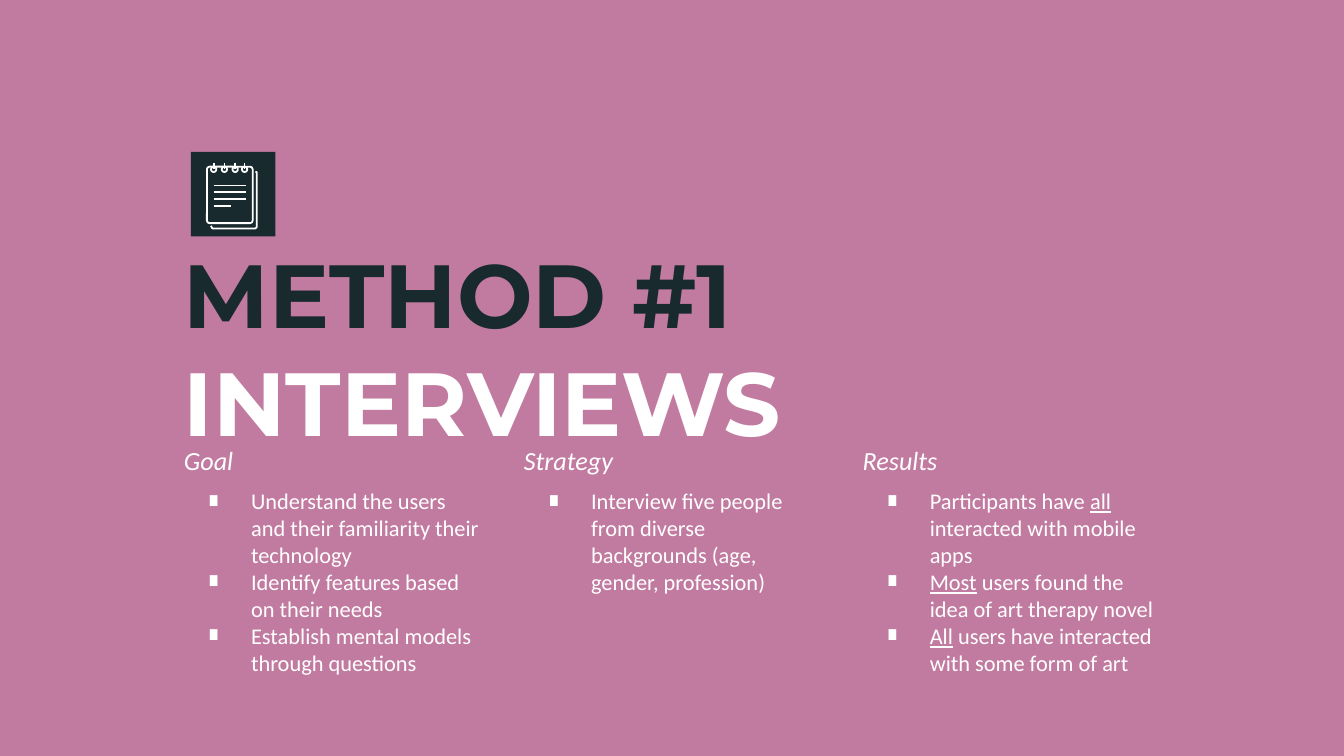
from lxml import etree
from pptx import Presentation
from pptx import util as u
from pptx.dml.color import RGBColor
from pptx.enum import shapes, text
from pptx.oxml import ns

PINK = RGBColor(0xC2, 0x7B, 0xA0)
INK = RGBColor(0x18, 0x2A, 0x2E)
WHITE = RGBColor(0xFF, 0xFF, 0xFF)

TITLE = {"name": "Montserrat", "size": u.Pt(48), "bold": True}
HEADING = {"name": "Calibri", "size": u.Pt(14), "italic": True}
BODY = {"name": "Calibri", "size": u.Pt(12)}

COLUMNS = [
    (1.27, "Goal", ["Understand the users and their familiarity their technology",
                    "Identify features based on their needs",
                    "Establish mental models through questions"]),
    (3.8, "Strategy", ["Interview five people from diverse backgrounds (age, gender, profession)"]),
    (6.32, "Results", ["Participants have _all_ interacted with mobile apps",
                       "_Most_ users found the idea of art therapy novel",
                       "_All_ users have interacted with some form of art"]),
]


class MethodSlide:
    stroke = u.Pt(0.96)

    def __init__(self, slide):
        self.slide = slide
        fill = slide.background.fill
        fill.solid()
        fill.fore_color.rgb = PINK

    def outline(self, part):
        part.line.color.rgb = WHITE
        part.line.width = self.stroke

    def shape(self, kind, left, top, width, height, fill=None):
        part = self.slide.shapes.add_shape(kind, *map(u.Inches, (left, top, width, height)))
        part.shadow.inherit = False
        if fill is None:
            part.fill.background()
            self.outline(part)
        else:
            part.fill.solid()
            part.fill.fore_color.rgb = fill
            part.line.fill.background()
        return part

    def line(self, x1, y1, x2, y2):
        rule = self.slide.shapes.add_connector(
            shapes.MSO_CONNECTOR.STRAIGHT, *map(u.Inches, (x1, y1, x2, y2)))
        self.outline(rule)
        etree.SubElement(rule._element.spPr, ns.qn("a:effectLst"))

    def open_path(self, points):
        start, *rest = [(u.Inches(x), u.Inches(y)) for x, y in points]
        builder = self.slide.shapes.build_freeform(*start)
        builder.add_line_segments(rest, close=False)
        sheet = builder.convert_to_shape()
        sheet.shadow.inherit = False
        sheet.fill.background()
        self.outline(sheet)

    def text_frame(self, left, top, width, height):
        box = self.slide.shapes.add_textbox(*map(u.Inches, (left, top, width, height)))
        frame = box.text_frame
        settings = {"word_wrap": True, "vertical_anchor": text.MSO_ANCHOR.TOP}
        settings.update({f"margin_{side}": u.Inches(0.1)
                         for side in ("left", "top", "right", "bottom")})
        for key, value in settings.items():
            setattr(frame, key, value)
        return frame

    def run(self, paragraph, words, style, color=WHITE, underline=None):
        run = paragraph.add_run()
        run.text = words
        for key, value in {**style, "underline": underline}.items():
            setattr(run.font, key, value)
        run.font.color.rgb = color

    def bullet(self, frame, words, space_before):
        item = frame.add_paragraph()
        props = item._p.get_or_add_pPr()
        props.set("marL", str(u.Inches(0.5)))
        props.set("indent", str(u.Inches(-0.33)))
        tint = etree.SubElement(props, ns.qn("a:buClr"))
        etree.SubElement(tint, ns.qn("a:srgbClr")).set("val", str(WHITE))
        etree.SubElement(props, ns.qn("a:buChar")).set("char", "∎")
        item.space_before = u.Pt(space_before)
        for index, piece in enumerate(words.split("_")):
            if piece:
                self.run(item, piece, BODY, underline=index % 2 == 1 or None)

    def column(self, left, heading, items):
        frame = self.text_frame(left, 3.21, 2.4, 2.18)
        self.run(frame.paragraphs[0], heading, HEADING)
        for index, words in enumerate(items):
            self.bullet(frame, words, 0 if index else 6)

    def notepad(self):
        kinds = shapes.MSO_SHAPE
        self.shape(kinds.RECTANGLE, 1.42, 1.13, 0.63, 0.63, INK)
        self.open_path([(1.57, 1.68), (1.58, 1.7), (1.59, 1.7), (1.9, 1.7), (1.91, 1.69),
                        (1.91, 1.68), (1.91, 1.29), (1.91, 1.28), (1.9, 1.28)])
        page = self.shape(kinds.ROUNDED_RECTANGLE, 1.54, 1.24, 0.34, 0.42)
        page.adjustments[0] = 0.06
        for row, right in enumerate((1.83, 1.83, 1.83, 1.72)):
            y = 1.38 + 0.05 * row
            self.line(1.59, y, right, y)
        for left in (1.57, 1.65, 1.73, 1.8):
            self.shape(kinds.OVAL, left, 1.24, 0.04, 0.04)
            self.line(left + 0.02, 1.21, left + 0.02, 1.26)


def main():
    deck = Presentation()
    deck.slide_width = u.Inches(10)
    deck.slide_height = deck.slide_width * 9 // 16
    method = MethodSlide(deck.slides.add_slide(deck.slide_layouts[6]))
    method.notepad()
    title = method.text_frame(1.27, 1.68, 7.45, 2.11).paragraphs[0]
    method.run(title, "METHOD #1 ", TITLE, INK)
    method.run(title, "INTERVIEWS", TITLE)
    for left, heading, items in COLUMNS:
        method.column(left, heading, items)
    deck.save("out.pptx")


if __name__ == "__main__":
    main()
